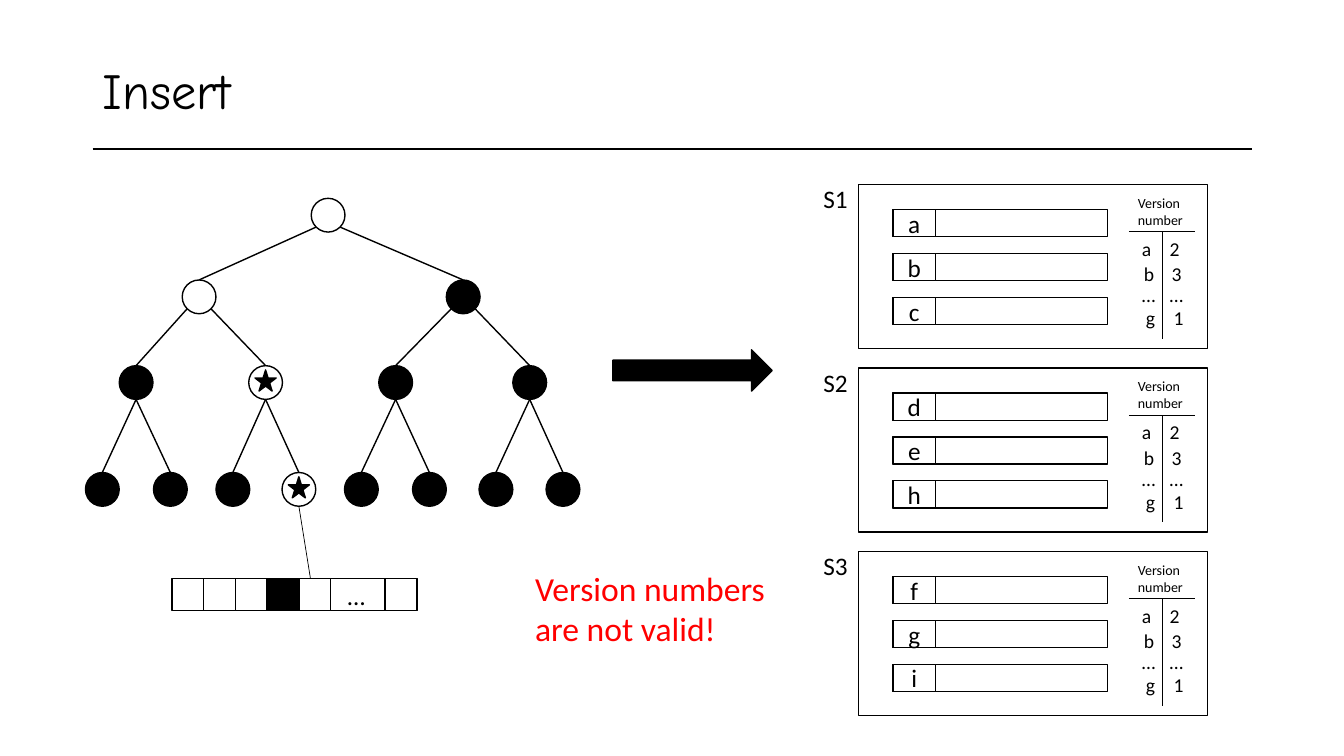
from dataclasses import dataclass

from lxml import etree
from pptx import Presentation
from pptx import util as u
from pptx.dml.color import RGBColor
from pptx.enum import shapes, text
from pptx.oxml.ns import qn


@dataclass(frozen=True)
class Theme:
    black: str = "000000"
    white: str = "FFFFFF"
    red: str = "FF0000"
    heading_font: str = "Comic Neue"
    body_font: str = "Calibri"
    heading: int = 36
    callout: int = 24
    label: int = 18
    entry: int = 14
    caption: int = 10
    rule: float = 1.5
    outline: float = 1
    hairline: float = 0.5


THEME = Theme()
COLUMNS, ROWS = 133.33, 75  # square grid cells, a tenth of an inch each


class SlideBuilder:
    def __init__(self, presentation, theme):
        self.theme = theme
        self.cell = presentation.slide_height / ROWS
        self.slide = presentation.slides.add_slide(presentation.slide_layouts[6])
        self.canvas = self.slide.shapes

    def grid(self, *lengths):
        return [u.Emu(round(length * self.cell)) for length in lengths]

    def start_group(self):
        """Send the elements that follow into a new group."""
        self.canvas = self.slide.shapes.add_group_shape().shapes

    def end_group(self):
        self.canvas = self.slide.shapes

    def add_words(self, frame, words, size, color=None, font=None):
        paragraph = frame.paragraphs[0]
        run = paragraph.add_run()
        run.text = words
        run.font.size = u.Pt(size)
        run.font.name = font or self.theme.body_font
        run.font.color.rgb = RGBColor.from_string(color or self.theme.black)
        return paragraph

    def shape(self, kind, left, top, width, height, fill=None, words=None):
        shape = self.canvas.add_shape(kind, *self.grid(left, top, width, height))
        shape.shadow.inherit = False
        shape.fill.solid()
        shape.fill.fore_color.rgb = RGBColor.from_string(fill or self.theme.white)
        shape.line.color.rgb = RGBColor.from_string(self.theme.black)
        shape.line.width = u.Pt(self.theme.outline)
        if words:
            shape.text_frame.vertical_anchor = text.MSO_ANCHOR.MIDDLE
            paragraph = self.add_words(shape.text_frame, words, self.theme.label)
            paragraph.alignment = text.PP_ALIGN.CENTER
        return shape

    def box(self, *bounds, fill=None, words=None):
        return self.shape(shapes.MSO_SHAPE.RECTANGLE, *bounds, fill, words)

    def centred(self, kind, center, size, fill):
        x, y = center
        return self.shape(kind, x - size / 2, y - size / 2, size, size, fill)

    def line(self, start, end, width):
        connector = self.canvas.add_connector(
            shapes.MSO_CONNECTOR.STRAIGHT, *self.grid(*start, *end))
        connector.line.color.rgb = RGBColor.from_string(self.theme.black)
        connector.line.width = u.Pt(width)
        etree.SubElement(connector._element.spPr, qn("a:effectLst"))
        return connector

    def label(self, words, left, top, width, height, size, color=None, font=None, wrap=True):
        frame = self.canvas.add_textbox(*self.grid(left, top, width, height)).text_frame
        frame.word_wrap = wrap
        self.add_words(frame, words, size, color, font)
        return frame

    def tabbed_label(self, words, tab_stop, *bounds, size):
        """Label whose tab character jumps to tab_stop."""
        frame = self.label(words, *bounds, size)
        properties = frame.paragraphs[0]._p.get_or_add_pPr()
        tabs = etree.SubElement(properties, qn("a:tabLst"))
        etree.SubElement(tabs, qn("a:tab"), pos=str(self.grid(tab_stop)[0]), algn="l")


NODE, STAR = 3.35, 2.1
DIAGONAL = 1.17  # offset of a circle's diagonal points from its centre

# Each level: height of the centres, then centre and state of every node.
# "o" is open, "x" is filled, "*" is open with a star.
TREE = [
    (21.35, [(32.55, "o")]),
    (29.45, [(19.75, "o"), (45.95, "x")]),
    (37.95, [(13.5, "x"), (26.35, "*"), (39.25, "x"), (52.55, "x")]),
    (48.55, [(10.15, "x"), (16.9, "x"), (23.1, "x"), (29.65, "*"),
             (35.85, "x"), (42.6, "x"), (49.2, "x"), (55.85, "x")]),
]
STORES = [("S1", "abc"), ("S2", "deh"), ("S3", "fgi")]
STORE_TOP, STORE_STEP = 18.3, 18.2
VERSIONS = [("a\t2", 112.3, 4.7), ("b\t3", 112.5, 7.2),
            ("…\t…", 112.3, 9.3), ("g\t1", 112.7, 11.6)]


def draw_heading(builder):
    theme = builder.theme
    frame = builder.label("Insert", 9.2, 4, 115, 10.5, theme.heading, font=theme.heading_font)
    frame.vertical_anchor = text.MSO_ANCHOR.MIDDLE
    frame.paragraphs[0].line_spacing = 0.9
    builder.line((9.2, 14.8), (124.2, 14.8), theme.rule)


def draw_edges(builder):
    for depth, (level, children) in enumerate(TREE[1:]):
        parent_level, parents = TREE[depth]
        leaf_level = depth == len(TREE) - 2
        for index, (x, _) in enumerate(children):
            parent_x = parents[index // 2][0]
            if leaf_level:
                start = parent_x, parent_level + NODE / 2
            else:
                side = DIAGONAL if index % 2 else -DIAGONAL
                start = parent_x + side, parent_level + DIAGONAL
            builder.line(start, (x, level - NODE / 2), builder.theme.outline)


def draw_nodes(builder):
    theme = builder.theme
    for level, nodes in TREE:
        for x, state in nodes:
            fill = theme.black if state == "x" else theme.white
            builder.centred(shapes.MSO_SHAPE.OVAL, (x, level), NODE, fill)
            if state == "*":
                builder.centred(shapes.MSO_SHAPE.STAR_5_POINT, (x, level - 0.2), STAR, theme.black)


def draw_bucket(builder):
    theme = builder.theme
    top, size = 57.4, 3.15
    builder.start_group()
    strip = builder.box(20.2, top, 21.2, size)
    for index in range(5):
        fill = theme.black if index == 3 else theme.white
        builder.box(17.05 + index * size, top, size, size, fill=fill)
    builder.box(38.2, top, size, size)
    builder.label("…", 33.5, 57.1, 3.8, 4, theme.label, wrap=False)
    builder.end_group()
    level, leaves = TREE[-1]
    link = builder.line((leaves[3][0], level + NODE / 2), (30.8, top), theme.hairline)
    link.end_connect(strip, 0)


def draw_store(builder, top, name, keys):
    theme = builder.theme
    builder.start_group()
    builder.box(85.2, top, 34.6, 16.3)
    for index, key in enumerate(keys):
        row = top + 2.5 + index * 4.35
        builder.box(88.6, row, 21.3, 2.7)
        builder.box(88.6, row, 4.2, 2.7, words=key)
    builder.label(name, 80.7, top - 0.6, 4.5, 4, theme.label, wrap=False)
    builder.line((112, top + 4.7), (118.5, top + 4.7), theme.hairline)
    builder.line((115.3, top + 4.7), (115.3, top + 15.3), theme.hairline)
    builder.label("Version number", 111.9, top + 0.5, 10.2, 4.4, theme.caption)
    for entry, left, offset in VERSIONS:
        builder.tabbed_label(entry, 2.75, left, top + offset, 6.5, 3.4, size=theme.entry)
    builder.end_group()


def main():
    presentation = Presentation()
    presentation.slide_width = u.Inches(COLUMNS / 10)
    presentation.slide_height = u.Inches(ROWS / 10)
    builder = SlideBuilder(presentation, THEME)
    draw_heading(builder)
    draw_edges(builder)
    draw_nodes(builder)
    draw_bucket(builder)
    builder.shape(shapes.MSO_SHAPE.RIGHT_ARROW, 60.8, 34.7, 15.8, 4.1, THEME.black)
    builder.label("Version numbers are not valid!", 52.1, 55.8, 27.6, 9.1, THEME.callout, THEME.red)
    for index, (name, keys) in enumerate(STORES):
        draw_store(builder, STORE_TOP + index * STORE_STEP, name, keys)
    presentation.save("out.pptx")


if __name__ == "__main__":
    main()
